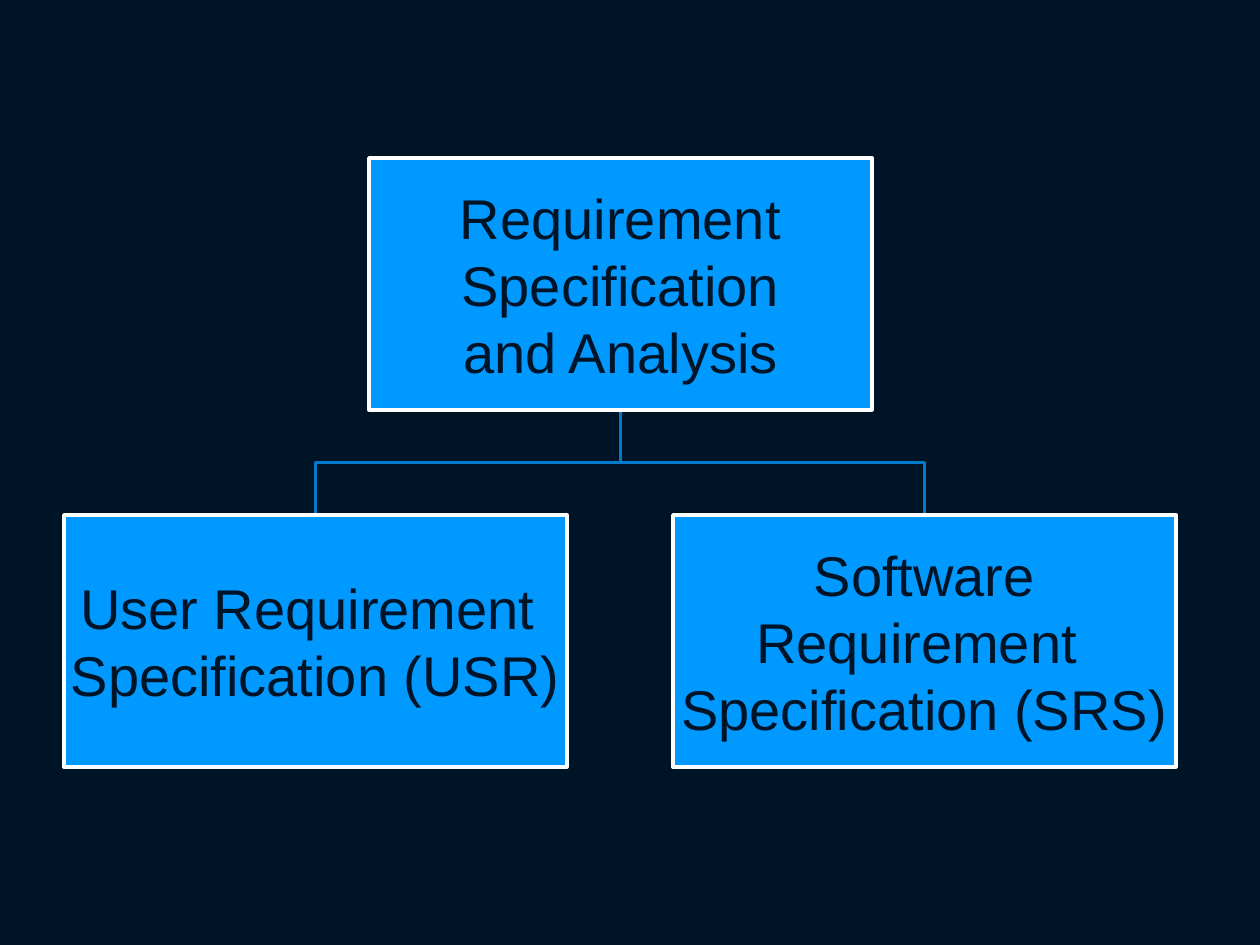
"""Build a slide with a requirement specification hierarchy."""
from dataclasses import dataclass

from pptx import Presentation
from pptx.dml.color import RGBColor
from pptx.enum.shapes import MSO_SHAPE
from pptx.enum.text import MSO_ANCHOR, PP_ALIGN
from pptx.util import Emu, Inches, Pt


@dataclass(frozen=True)
class Theme:
    background: str = "001428"
    box: str = "0099FF"
    border: str = "FFFFFF"
    link: str = "007BCC"
    text: str = "001428"
    font: str = "Arial"
    size: int = 32
    line: int = 2


class Deck:
    def __init__(self, slide, theme):
        self.s, self.theme = slide, theme
        fill = slide.background.fill
        fill.solid()
        fill.fore_color.rgb = RGBColor.from_string(theme.background)

    def px(self, n):
        return Emu(round(n * Inches(1) / 126))

    def outline(self, sp, color):
        sp.shadow.inherit = False
        sp.line.color.rgb = RGBColor.from_string(color)
        sp.line.width = Pt(self.theme.line)

    def box(self, x, y, w, h, lines):
        sp = self.s.shapes.add_shape(MSO_SHAPE.RECTANGLE, *map(self.px, (x, y, w, h)))
        sp.fill.solid()
        sp.fill.fore_color.rgb = RGBColor.from_string(self.theme.box)
        self.outline(sp, self.theme.border)
        tf = sp.text_frame
        tf.word_wrap = True
        tf.vertical_anchor = MSO_ANCHOR.MIDDLE
        tf.margin_left = tf.margin_right = tf.margin_top = tf.margin_bottom = self.px(3)
        for i, line in enumerate(lines):
            p = tf.add_paragraph() if i else tf.paragraphs[0]
            p.alignment = PP_ALIGN.CENTER
            r = p.add_run()
            r.text = line
            r.font.name = self.theme.font
            r.font.size = Pt(self.theme.size)
            r.font.color.rgb = RGBColor.from_string(self.theme.text)

    def branch(self, x1, y1, x2, y2):
        mid = (y1 + y2) / 2
        start, *rest = [(self.px(x), self.px(y))
                        for x, y in ((x1, y1), (x1, mid), (x2, mid), (x2, y2))]
        builder = self.s.shapes.build_freeform(*start)
        builder.add_line_segments(rest, close=False)
        sp = builder.convert_to_shape()
        sp.fill.background()
        self.outline(sp, self.theme.link)


def main():
    prs = Presentation()
    prs.slide_width, prs.slide_height = Inches(10), Inches(7.5)
    deck = Deck(prs.slides.add_slide(prs.slide_layouts[6]), Theme())
    width, height = 503, 252
    root_x, root_y, child_y = 369, 158, 515
    children = [
        (64, ["User Requirement ", "Specification (USR)"]),
        (673, ["Software Requirement ", "Specification (SRS)"]),
    ]
    for x, _ in reversed(children):
        deck.branch(root_x + width / 2, root_y + height, x + width / 2, child_y)
    deck.box(root_x, root_y, width, height, ["Requirement Specification", "and Analysis"])
    for x, lines in children:
        deck.box(x, child_y, width, height, lines)
    prs.save("out.pptx")


if __name__ == "__main__":
    main()
